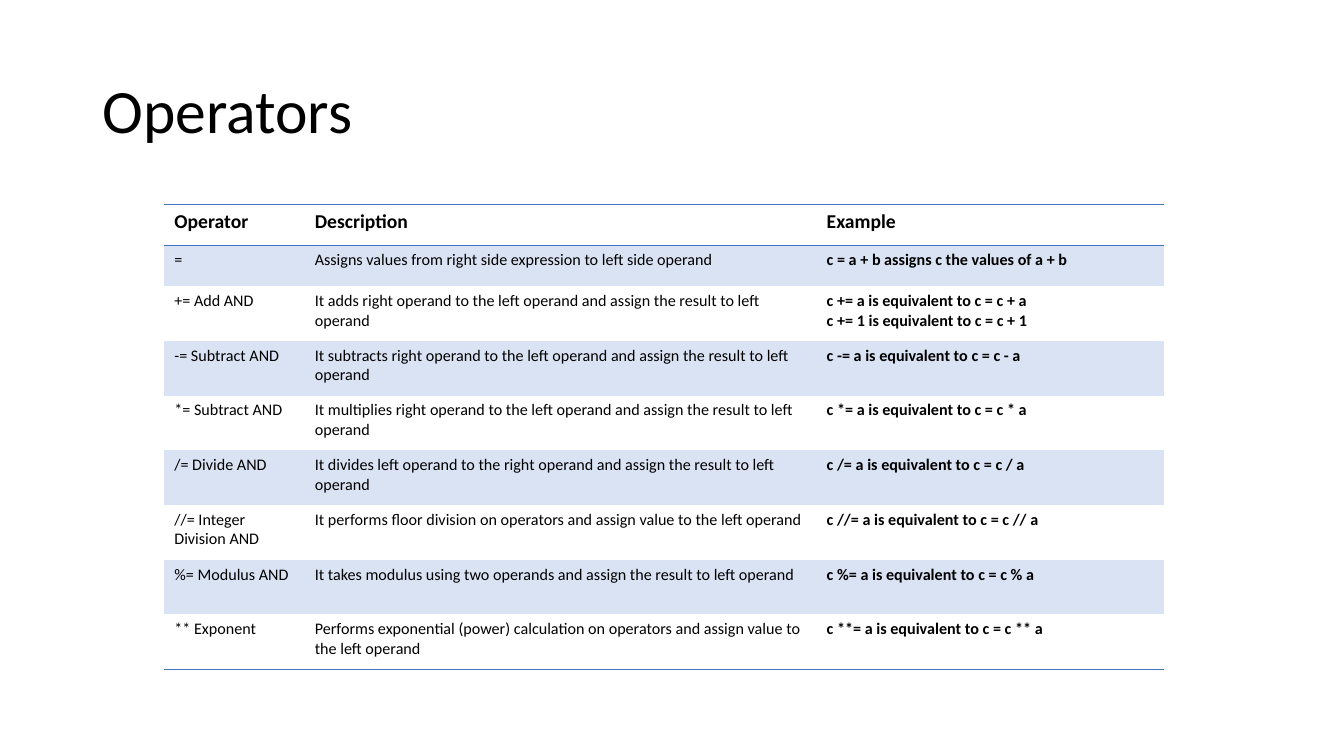
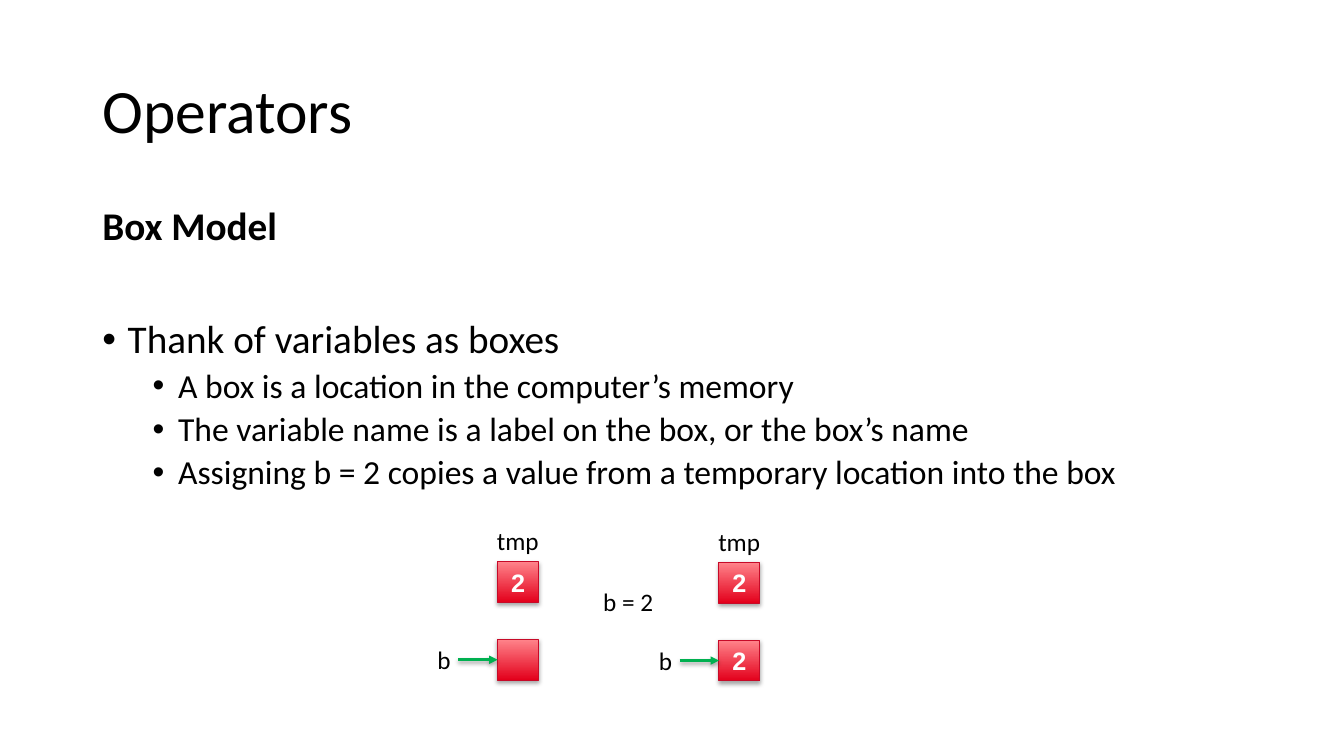
import lxml.etree
import pptx
import pptx.dml.color
import pptx.enum.dml
import pptx.enum.shapes
import pptx.enum.text
import pptx.oxml
import pptx.oxml.ns
import pptx.util

Cm = pptx.util.Cm
Pt = pptx.util.Pt
ALIGN = pptx.enum.text.PP_ALIGN
ANCHOR = pptx.enum.text.MSO_ANCHOR
qn = pptx.oxml.ns.qn

COLOURS = {
    "text": "000000",
    "rule": "4472C4",
    "band": "DAE3F3",
    "square_bottom": "E3001B",
    "square_top": "FF848B",
    "square_line": "C70A28",
    "square_text": "FFFFFF",
    "arrow": "00B050",
    "shadow": "000000",
}
FONT = "Calibri"
NO_GRID_STYLE = "{2D5ABB26-0587-4C30-8999-92F81FD0307C}"
PAGE_LEFT, PAGE_WIDTH = 2.33, 29.21

COLUMN_WIDTHS = [3.54, 12.9, 8.75]
ROW_HEIGHTS = [1.03] * 2 + [1.38] * 7
OPERATORS = [
    ("Operator", "Description", "Example"),
    ("=", "Assigns values from right side expression to left side operand",
     "c = a + b assigns c the values of a + b"),
    ("+= Add AND", "It adds right operand to the left operand and assign the result to left operand",
     "c += a is equivalent to c = c + a\nc += 1 is equivalent to c = c + 1"),
    ("-= Subtract AND", "It subtracts right operand to the left operand and assign the result to left operand",
     "c -= a is equivalent to c = c - a"),
    ("*= Subtract AND", "It multiplies right operand to the left operand and assign the result to left operand",
     "c *= a is equivalent to c = c * a"),
    ("/= Divide AND", "It divides left operand to the right operand and assign the result to left operand",
     "c /= a is equivalent to c = c / a"),
    ("//= Integer Division AND", "It performs floor division on operators and assign value to the left operand",
     "c //= a is equivalent to c = c // a"),
    ("%= Modulus AND", "It takes modulus using two operands and assign the result to left operand",
     "c %= a is equivalent to c = c % a"),
    ("** Exponent", "Performs exponential (power) calculation on operators and assign value to the left operand",
     "c **= a is equivalent to c = c ** a"),
]
BOX_MODEL_POINTS = [
    (0, "Thank of variables as boxes"),
    (1, "A box is a location in the computer’s memory"),
    (1, "The variable name is a label on the box, or the box’s name"),
    (1, "Assigning b = 2 copies a value from a temporary location into the box"),
]


def colour(name):
    return pptx.dml.color.RGBColor.from_string(COLOURS[name])


def set_font(para, size, bold=False, name=FONT, ink="text"):
    para.font.name = name
    para.font.size = Pt(size)
    para.font.bold = bold
    para.font.color.rgb = colour(ink)


def add_page(deck, heading):
    page = deck.slides.add_slide(deck.slide_layouts[5])
    title = page.shapes.title
    title.left, title.top = Cm(PAGE_LEFT), Cm(1.01)
    title.width, title.height = Cm(PAGE_WIDTH), Cm(3.68)
    title.text_frame.text = heading
    title.text_frame.vertical_anchor = ANCHOR.MIDDLE
    para = title.text_frame.paragraphs[0]
    para.alignment = ALIGN.LEFT
    para.line_spacing = 0.9
    set_font(para, 44)
    return page


def add_rule(cell, side):
    line = lxml.etree.SubElement(cell._tc.get_or_add_tcPr(), qn(f"a:ln{side}"), w=str(Pt(1)))
    fill = lxml.etree.SubElement(line, qn("a:solidFill"))
    lxml.etree.SubElement(fill, qn("a:srgbClr"), val=COLOURS["rule"])


def add_operator_table(page, left, top):
    frame = page.shapes.add_table(
        len(OPERATORS), len(COLUMN_WIDTHS), Cm(left), Cm(top),
        Cm(sum(COLUMN_WIDTHS)), Cm(sum(ROW_HEIGHTS)))
    table = frame.table
    table.first_row = table.horz_banding = False
    table._tbl.tblPr.find(qn("a:tableStyleId")).text = NO_GRID_STYLE
    for column, width in zip(table.columns, COLUMN_WIDTHS):
        column.width = Cm(width)
    for row, height in zip(table.rows, ROW_HEIGHTS):
        row.height = Cm(height)
    last = len(OPERATORS) - 1
    for row_index, texts in enumerate(OPERATORS):
        header = row_index == 0
        for column_index, text in enumerate(texts):
            cell = table.cell(row_index, column_index)
            if header:
                add_rule(cell, "T")
            if row_index in (0, last):
                add_rule(cell, "B")
            if row_index % 2:
                cell.fill.solid()
                cell.fill.fore_color.rgb = colour("band")
            else:
                cell.fill.background()
            cell.text = text
            for para in cell.text_frame.paragraphs:
                set_font(para, 14 if header else 11.5, header or column_index == 2)


def set_bullet(para, level):
    para.level = level
    properties = para._p.get_or_add_pPr()
    properties.set("marL", str(Cm(0.64 + 1.27 * level)))
    properties.set("indent", str(Cm(-0.64)))
    lxml.etree.SubElement(properties, qn("a:buFont"), typeface="Arial")
    lxml.etree.SubElement(properties, qn("a:buChar"), char="•")


def add_points(page, left, top, width, height):
    frame = page.shapes.add_textbox(Cm(left), Cm(top), Cm(width), Cm(height)).text_frame
    frame.word_wrap = True
    heading = frame.paragraphs[0]
    heading.text = "Box Model"
    heading.line_spacing = 0.9
    heading.space_before = Pt(10)
    set_font(heading, 28, True)
    for index, (level, text) in enumerate(BOX_MODEL_POINTS):
        para = frame.add_paragraph()
        para.text = text
        para.line_spacing = 0.9
        para.space_before = Pt(51 if index == 0 else 5)
        set_bullet(para, level)
        set_font(para, 24 if level else 28)


def cast_shadow(shape, opacity, distance):
    properties = shape._element.spPr
    for effects in properties.findall(qn("a:effectLst")):
        properties.remove(effects)
    effects = lxml.etree.SubElement(properties, qn("a:effectLst"))
    shadow = lxml.etree.SubElement(
        effects, qn("a:outerShdw"), blurRad=str(Pt(3.1)), dist=str(Pt(distance)),
        dir="5400000", rotWithShape="0")
    ink = lxml.etree.SubElement(shadow, qn("a:srgbClr"), val=COLOURS["shadow"])
    lxml.etree.SubElement(ink, qn("a:alpha"), val=str(opacity * 1000))


def add_label(page, text, left, top, width):
    frame = page.shapes.add_textbox(Cm(left), Cm(top), Cm(width), Cm(1.03)).text_frame
    frame.word_wrap = True
    para = frame.paragraphs[0]
    para.text = text
    para.alignment = ALIGN.CENTER
    set_font(para, 18)


def add_square(page, value, left, top):
    side = Cm(1.03)
    square = page.shapes.add_shape(
        pptx.enum.shapes.MSO_SHAPE.RECTANGLE, Cm(left), Cm(top), side, side)
    square.fill.gradient()
    square.fill.gradient_angle = 90
    ends = ((0, "square_bottom"), (1, "square_top"))
    for stop, (position, name) in zip(square.fill.gradient_stops, ends):
        stop.position = position
        stop.color.rgb = colour(name)
    square.line.color.rgb = colour("square_line")
    square.line.width = Pt(0.75)
    cast_shadow(square, 35, 1.8)
    if value:
        square.text_frame.vertical_anchor = ANCHOR.MIDDLE
        para = square.text_frame.paragraphs[0]
        para.text = value
        para.alignment = ALIGN.CENTER
        set_font(para, 18, True, "Arial", "square_text")
    return square


def add_arrow(page, square, length):
    middle = square.top + square.height // 2
    arrow = page.shapes.add_connector(
        pptx.enum.shapes.MSO_CONNECTOR.STRAIGHT,
        square.left - Cm(length), middle, square.left, middle)
    arrow.end_connect(square, 1)
    arrow.line.color.rgb = colour("arrow")
    arrow.line.width = Pt(2)
    lxml.etree.SubElement(arrow.line._get_or_add_ln(), qn("a:tailEnd"), type="triangle")
    cast_shadow(arrow, 38, 1.6)


def add_memory(page, left, top, stored):
    lower = top + 1.96
    add_square(page, "2", left, top)
    variable = add_square(page, stored, left, lower)
    add_label(page, "tmp", left - 0.34, top - 1.03, 1.7)
    add_label(page, "b", left - 2.06, lower, 1.42)
    add_arrow(page, variable, 0.99)


def build_table_page(deck):
    page = add_page(deck, "Operators")
    add_operator_table(page, 4.14, 5.15)


def build_box_model_page(deck):
    page = add_page(deck, "Operators")
    add_points(page, PAGE_LEFT, 5.07, PAGE_WIDTH, 12.09)
    add_memory(page, 12.54, 14.15, "")
    add_memory(page, 18.12, 14.17, "2")
    add_label(page, "b = 2", 14.7, 14.66, 2.26)


def main():
    deck = pptx.Presentation()
    deck.slide_width, deck.slide_height = Cm(33.87), Cm(19.05)
    build_table_page(deck)
    build_box_model_page(deck)
    deck.save("out.pptx")


if __name__ == "__main__":
    main()
